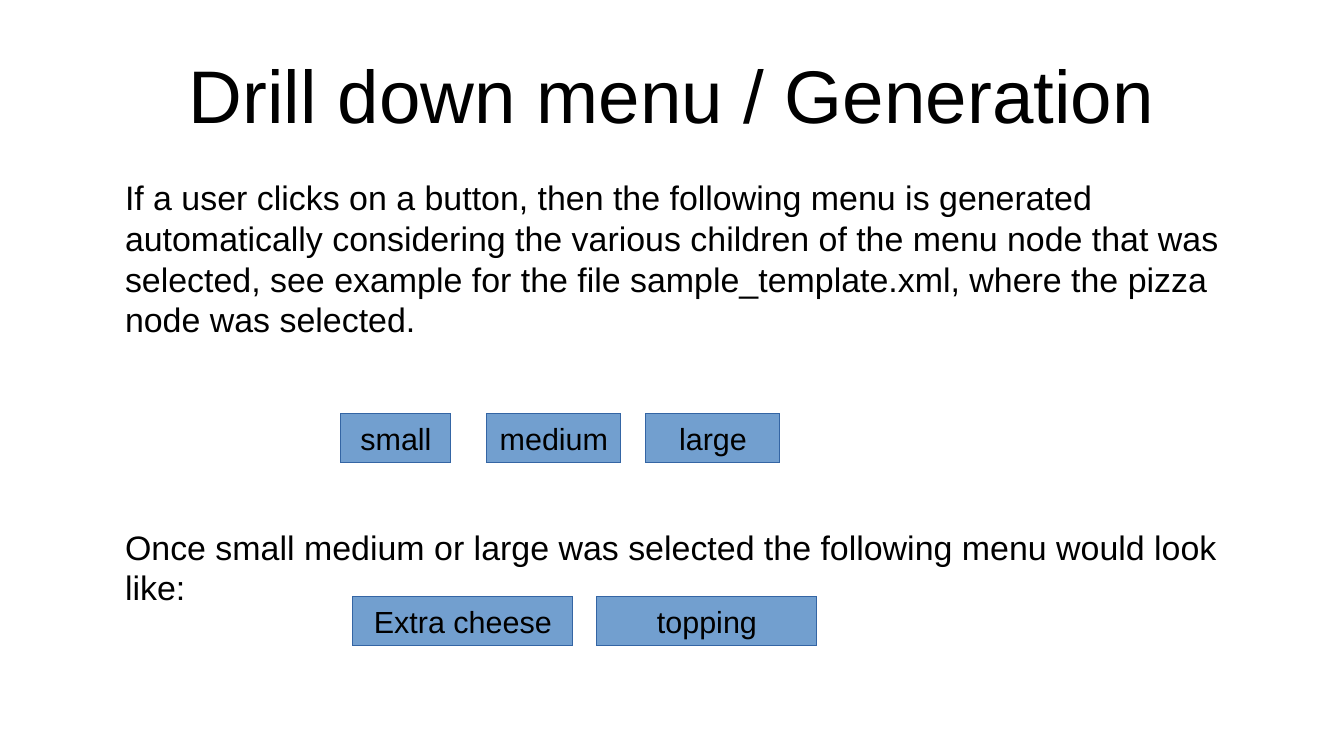
"""Build the slide on generating a drill down menu."""
from lxml.etree import SubElement
from pptx import Presentation
from pptx.dml.color import RGBColor
from pptx.enum.shapes import MSO_SHAPE
from pptx.enum.text import MSO_ANCHOR, MSO_AUTO_SIZE, PP_ALIGN
from pptx.oxml.ns import qn
from pptx.util import Emu, Pt

SCALE = 914400 / 122


def px(num):
    return Emu(round(num * SCALE))


def paint(color, code):
    color.rgb = RGBColor.from_string(code)


deck = Presentation()
deck.slide_width, deck.slide_height = px(1344), px(756)
slide = deck.slides.add_slide(deck.slide_layouts[1])
title, body = slide.placeholders

title.text_frame.text = "Drill down menu / Generation"
body.text_frame.text = (
    "If a user clicks on a button, then the following menu is generated "
    "automatically considering the various children of the menu node that was "
    "selected, see example for the file sample_template.xml, where the pizza "
    "node was selected.\n"
    "Once small medium or large was selected the following menu would look like:"
)

for para, gap in zip(body.text_frame.paragraphs, (0, 110)):
    props = para._p.get_or_add_pPr()
    props.set("marL", str(px(58)))
    props.set("indent", "0")
    SubElement(props, qn("a:buNone"))
    form = {"space_before": Pt(gap), "line_spacing": Pt(24), "alignment": PP_ALIGN.LEFT}
    for key, value in form.items():
        setattr(para, key, value)

flush = {"margin_left": 0, "margin_right": 0, "margin_top": 0, "margin_bottom": 0,
         "word_wrap": True, "auto_size": MSO_AUTO_SIZE.NONE}
holders = [
    (title, 30, 127, 44, MSO_ANCHOR.MIDDLE),
    (body, 177, 439, 20, MSO_ANCHOR.TOP),
]
for holder, top, high, size, anchor in holders:
    place = {"left": px(67), "top": px(top), "width": px(1210), "height": px(high)}
    for key, value in place.items():
        setattr(holder, key, value)
    frame = holder.text_frame
    for key, value in {**flush, "vertical_anchor": anchor}.items():
        setattr(frame, key, value)
    for para in frame.paragraphs:
        for key, value in {"name": "Arial", "size": Pt(size)}.items():
            setattr(para.font, key, value)
        paint(para.font.color, "000000")
title.text_frame.paragraphs[0].alignment = PP_ALIGN.CENTER

buttons = [
    ("small", 341, 414, 110),
    ("medium", 487, 414, 134),
    ("large", 646, 414, 134),
    ("Extra cheese", 353, 597, 220),
    ("topping", 597, 597, 220),
]
inset = {"margin_left": px(12), "margin_right": px(12), "margin_top": px(6),
         "margin_bottom": px(6), "word_wrap": False,
         "vertical_anchor": MSO_ANCHOR.MIDDLE}
for label, left, top, wide in buttons:
    button = slide.shapes.add_shape(
        MSO_SHAPE.RECTANGLE, px(left), px(top), px(wide), px(49))
    button.shadow.inherit = False
    button.fill.solid()
    paint(button.fill.fore_color, "729FCF")
    paint(button.line.color, "3465A4")
    button.line.width = Pt(0.01)
    frame = button.text_frame
    frame.text = label
    for key, value in inset.items():
        setattr(frame, key, value)
    para = frame.paragraphs[0]
    para.alignment = PP_ALIGN.CENTER
    for key, value in {"name": "Arial", "size": Pt(18)}.items():
        setattr(para.font, key, value)
    paint(para.font.color, "000000")

deck.save("out.pptx")
